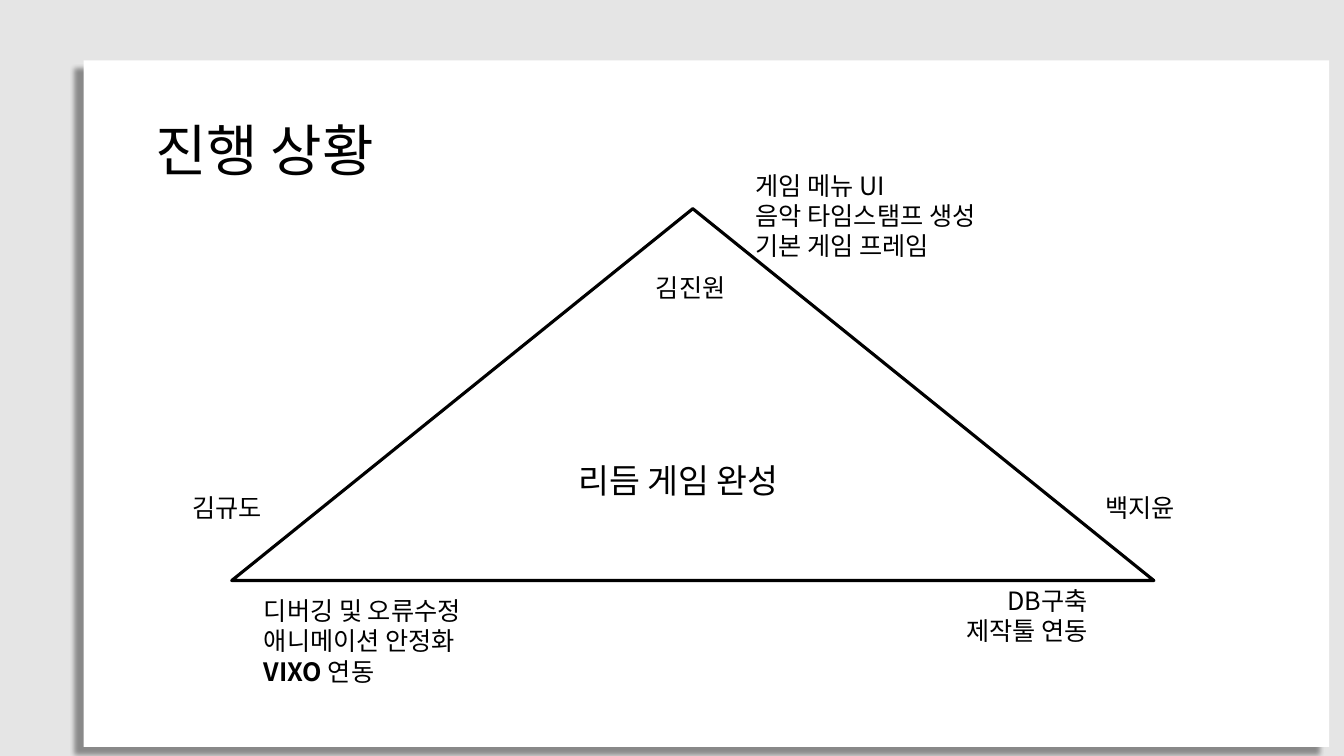
from lxml.etree import SubElement
from pptx import Presentation
from pptx.dml.color import RGBColor
from pptx.enum.shapes import MSO_SHAPE
from pptx.enum.text import MSO_ANCHOR, PP_ALIGN
from pptx.oxml.ns import qn
from pptx.util import Cm, Pt

FONT = "Noto Sans CJK KR"
COLORS = {"background": "E5E5E5", "card": "FFFFFF", "ink": "000000"}


def color(name):
    return RGBColor.from_string(COLORS[name])


def add_card_shadow(shape):
    """Cast a soft shadow to the lower left."""
    shape.shadow.inherit = False
    effects = shape._element.spPr.find(qn("a:effectLst"))
    shadow = SubElement(effects, qn("a:outerShdw"), blurRad=str(Pt(4)),
                        dist=str(Pt(9)), dir=str(135 * 60000),
                        algn="tr", rotWithShape="0")
    shade = SubElement(shadow, qn("a:srgbClr"), val=COLORS["ink"])
    SubElement(shade, qn("a:alpha"), val="40000")


def write_lines(shape, lines, size, align=PP_ALIGN.LEFT):
    """Fill a shape with paragraphs; each line is a list of (text, bold) runs."""
    frame = shape.text_frame
    frame.word_wrap = True
    frame.vertical_anchor = MSO_ANCHOR.TOP
    for index, runs in enumerate(lines):
        paragraph = frame.add_paragraph() if index else frame.paragraphs[0]
        paragraph.alignment = align
        paragraph.line_spacing = 1.0
        paragraph.space_before = Pt(0)
        paragraph.font.size = Pt(size)
        paragraph.font.name = FONT
        paragraph.font.color.rgb = color("ink")
        for text, bold in runs:
            run = paragraph.add_run()
            run.text = text
            if bold:
                run.font.bold = True
            SubElement(run._r.get_or_add_rPr(), qn("a:ea"), typeface=FONT)


def plain(*texts):
    return [[(text, False)] for text in texts]


def add_label(slide, box, lines, size=18, align=PP_ALIGN.LEFT):
    write_lines(slide.shapes.add_textbox(*box), lines, size, align)


def add_card(slide, left, top, width, height):
    card = slide.shapes.add_shape(MSO_SHAPE.RECTANGLE, left, top, width, height)
    card.fill.solid()
    card.fill.fore_color.rgb = color("card")
    card.line.fill.background()
    add_card_shadow(card)


def add_title(slide, left, top, width, height):
    title = slide.shapes.title
    title.left, title.top, title.width, title.height = left, top, width, height
    write_lines(title, plain("진행 상황"), 40)
    # Keep the title in front of the card
    slide.shapes._spTree.append(title._element)


def add_team_triangle(slide, left, top, width, height):
    """Draw the goal triangle with a member and their tasks at each corner."""
    triangle = slide.shapes.add_shape(
        MSO_SHAPE.ISOSCELES_TRIANGLE, left, top, width, height)
    triangle.shadow.inherit = False
    triangle.fill.background()
    triangle.line.color.rgb = color("ink")
    triangle.line.width = Pt(2.25)

    middle, right, bottom = left + width // 2, left + width, top + height
    name_height, name_top = Cm(1.02), bottom - Cm(2.34)
    task_height = Cm(3.33)

    add_label(slide, (middle - Cm(3.14), top + Cm(6.2), Cm(6.48), Cm(1.27)),
              plain("리듬 게임 완성"), size=24)

    add_label(slide, (middle - Cm(1.18), top + Cm(1.47), Cm(2.54), name_height),
              plain("김진원"))
    add_label(slide, (middle + Cm(1.33), top - Cm(1.1), Cm(10.39), task_height),
              plain("게임 메뉴 UI", "음악 타임스탬프 생성", "기본 게임 프레임"))

    add_label(slide, (left - Cm(1.24), name_top, Cm(2.67), name_height),
              plain("김규도"))
    add_label(slide, (left + Cm(0.56), bottom + Cm(0.25), Cm(8.81), task_height),
              plain("디버깅 및 오류수정", "애니메이션 안정화")
              + [[("VIXO ", True), ("연동", False)]])

    add_label(slide, (right - Cm(1.47), name_top, Cm(2.67), name_height),
              plain("백지윤"))
    add_label(slide, (right - Cm(6.93), bottom, Cm(5.51), Cm(1.8)),
              plain("DB구축", "제작툴 연동"), align=PP_ALIGN.RIGHT)


def build_progress_slide(presentation):
    slide = presentation.slides.add_slide(presentation.slide_layouts[5])
    slide.background.fill.solid()
    slide.background.fill.fore_color.rgb = color("background")
    add_card(slide, Cm(2.11), Cm(1.52), Cm(31.39), Cm(17.3))
    add_team_triangle(slide, Cm(5.84), Cm(5.26), Cm(23.24), Cm(9.37))
    add_title(slide, Cm(3.66), Cm(2.79), Cm(6.25), Cm(1.96))


def main():
    presentation = Presentation()
    presentation.slide_width, presentation.slide_height = Cm(33.87), Cm(19.05)
    build_progress_slide(presentation)
    presentation.save("out.pptx")


if __name__ == "__main__":
    main()
